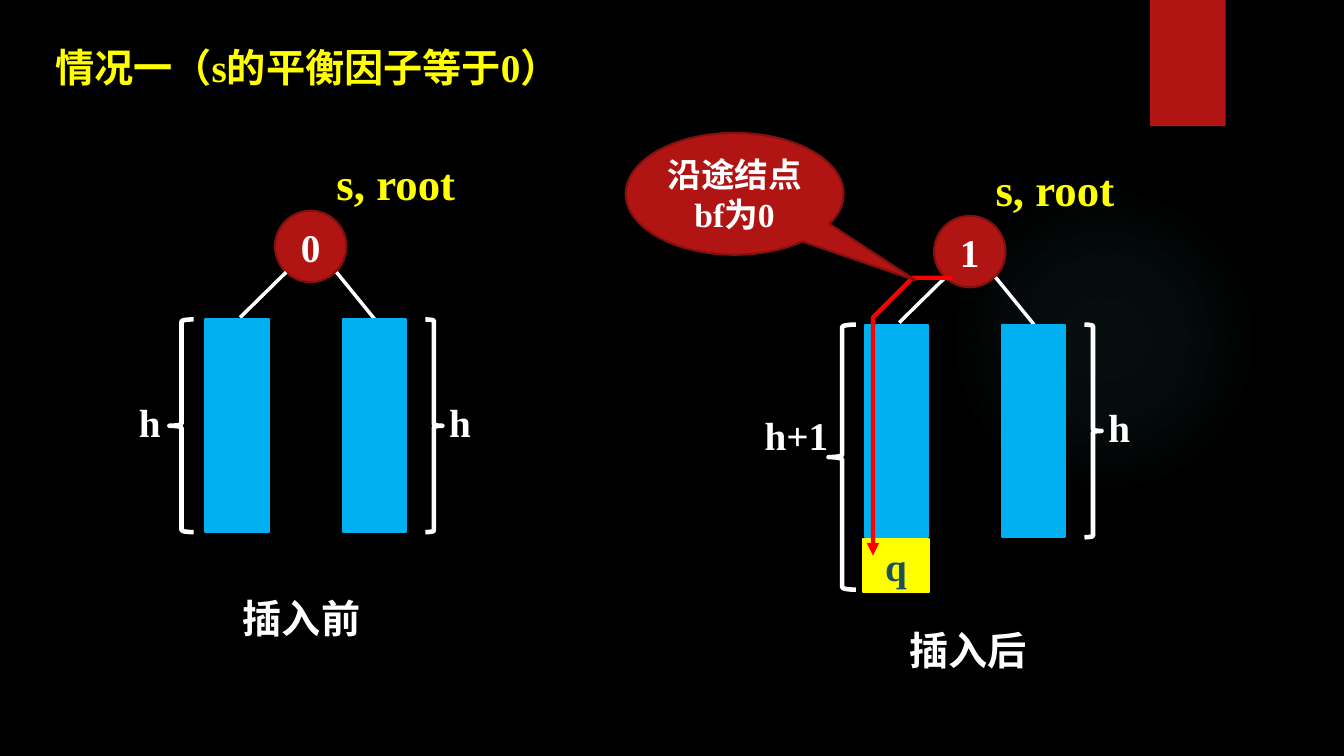
"""Slide on AVL insertion when the balance factor of s is 0."""
from lxml import etree
from pptx import Presentation
from pptx import util as u
from pptx.dml import color
from pptx.enum import shapes, text
from pptx.oxml import ns, parse_xml

Kind = shapes.MSO_SHAPE
SERIF = "Times New Roman"
WHITE, YELLOW, RED, DARK, BLUE = "FFFFFF", "FFFF00", "B01513", "82100E", "00B0F0"
SHIFT_X, SHIFT_Y = 16.61, 0.13


def paint(fmt, tone):
    """Give a fill a solid colour."""
    fmt.solid()
    fmt.fore_color.rgb = color.RGBColor.from_string(tone)


def stroke(shape, tone, width):
    """Set the outline, or remove it when there is no colour."""
    if tone:
        paint(shape.line.fill, tone)
        shape.line.width = u.Pt(width)
    else:
        shape.line.fill.background()


def write(frame, words, size, tone, font=SERIF, align=None):
    """Write one bold paragraph."""
    frame.word_wrap = True
    para = frame.paragraphs[0]
    para.text = words
    para.alignment = align
    para.font.size, para.font.bold, para.font.name = u.Pt(size), True, font
    para.font.color.rgb = color.RGBColor.from_string(tone)


def label(slide, box, words, size=28, tone=WHITE, font=SERIF):
    """Add a text box."""
    frame = slide.shapes.add_textbox(*map(u.Cm, box)).text_frame
    write(frame, words, size, tone, font)


def block(slide, kind, box, fill=None, edge=None, width=1.5):
    """Add a preset shape without shadow."""
    shape = slide.shapes.add_shape(kind, *map(u.Cm, box))
    shape.shadow.inherit = False
    if fill:
        paint(shape.fill, fill)
    else:
        shape.fill.background()
    stroke(shape, edge, width)
    return shape


def center(shape, words, size=28, tone=WHITE, inset=0):
    """Write centred text inside a shape."""
    frame = shape.text_frame
    frame.margin_left = frame.margin_right = u.Cm(inset)
    frame.vertical_anchor = text.MSO_ANCHOR.MIDDLE
    write(frame, words, size, tone, align=text.PP_ALIGN.CENTER)


def branch(slide, *ends):
    """Draw a white line from a node to its subtree."""
    line = slide.shapes.add_connector(shapes.MSO_CONNECTOR.STRAIGHT, *map(u.Cm, ends))
    stroke(line, WHITE, 2.5)
    etree.SubElement(line._element.spPr, ns.qn("a:effectLst"))


def glow(slide, box):
    """Add the faint radial light."""
    shape = block(slide, Kind.OVAL, box, BLUE)
    stops = "".join(
        f'<a:gs pos="{at}000"><a:srgbClr val="50B9C1"><a:alpha val="{alpha}000"/></a:srgbClr></a:gs>'
        for at, alpha in ((0, 7), (36, 6), (69, 0)))
    grad = parse_xml(
        f'<a:gradFill {ns.nsdecls("a")}><a:gsLst>{stops}</a:gsLst><a:path path="circle">'
        '<a:fillToRect l="50000" t="50000" r="50000" b="50000"/></a:path></a:gradFill>')
    solid = shape._element.spPr.find(ns.qn("a:solidFill"))
    solid.getparent().replace(solid, grad)


def bezier(points, steps=24):
    """Sample a cubic curve after its first point."""
    a, b, c, d = points
    for step in range(1, steps + 1):
        t = step / steps
        s = 1 - t
        yield tuple(s**3 * i + 3 * s * s * t * j + 3 * s * t * t * k + t**3 * m
                    for i, j, k, m in zip(a, b, c, d))


def trail(slide, points):
    """Draw the red arrow along joined cubic curves."""
    dots = [dot for i in range(0, len(points) - 1, 3) for dot in bezier(points[i:i + 4])]
    pen = slide.shapes.build_freeform(*points[0], scale=u.Cm(1))
    pen.add_line_segments(dots, close=False)
    shape = pen.convert_to_shape()
    shape.shadow.inherit = False
    shape.fill.background()
    stroke(shape, "FF0000", 3)
    etree.SubElement(shape.line._get_or_add_ln(), ns.qn("a:tailEnd"), type="triangle")


def tree(slide, x, y, factor):
    """Draw node s, its two subtrees and the right height."""
    node = block(slide, Kind.OVAL, (x + 6.93, y + 5.31, 1.8, 1.8), RED, DARK)
    center(node, factor)
    branch(slide, x + 6.05, y + 8, x + 7.21, y + 6.86)
    branch(slide, x + 9.45, y + 8.05, x + 8.48, y + 6.86)
    label(slide, (x + 8.23, y + 3.81, 4.7, 1.63), "s, root", 32, YELLOW)
    for left in (5.18, 8.64):
        block(slide, Kind.RECTANGLE, (x + left, y + 8.05, 1.6, 5.36), BLUE, BLUE)
    block(slide, Kind.RIGHT_BRACE, (x + 10.72, y + 8.05, 0.43, 5.36), None, WHITE, 3.25)
    label(slide, (x + 11.07, y + 9.91, 3.68, 1.45), "h")


def height(slide, brace, place, words):
    """Mark the height of a left subtree."""
    block(slide, Kind.LEFT_BRACE, brace, None, WHITE, 3.25)
    label(slide, (*place, 3.68, 1.45), words)


def main():
    """Build and save the slide."""
    deck = Presentation()
    deck.slide_width, deck.slide_height = u.Cm(33.87), u.Cm(19.05)
    slide = deck.slides.add_slide(deck.slide_layouts[6])
    paint(slide.background.fill, "000000")
    glow(slide, (23.9, 4.65, 7.82, 7.82))
    block(slide, Kind.RECTANGLE, (28.98, 0, 1.91, 3.18), RED)
    label(slide, (1.14, 0.97, 31.6, 2.64), "情况一（s的平衡因子等于0）", 28, YELLOW)

    tree(slide, 0, 0, "0")
    height(slide, (4.27, 8.05, 0.61, 5.36), (3.25, 9.91), "h")
    tree(slide, SHIFT_X, SHIFT_Y, "1")
    height(slide, (20.88, 8.18, 0.69, 6.68), (19.02, 10.24), "h+1")
    for x, y, words in ((5.87, 14.86, "插入前"), (22.66, 15.67, "插入后")):
        label(slide, (x, y, 3.96, 1.45), words, font="TeX Gyre Adventor")

    leaf = block(slide, Kind.RECTANGLE, (21.74, 13.59, 1.68, 1.32), YELLOW, YELLOW)
    center(leaf, "q", tone="1E5155", inset=0.25)
    trail(slide, [(23.65, 6.63), (23.16, 6.55), (22.68, 6.5), (22.45, 7.72),
                  (22.25, 8.92), (22.3, 11.4), (22.35, 13.89)])
    note = block(slide, Kind.OVAL_CALLOUT, (15.77, 3.35, 5.49, 3.07), RED, DARK)
    note.adjustments[0], note.adjustments[1] = 0.83, 0.71
    center(note, "沿途结点bf为0", 24)
    deck.save("out.pptx")


if __name__ == "__main__":
    main()
